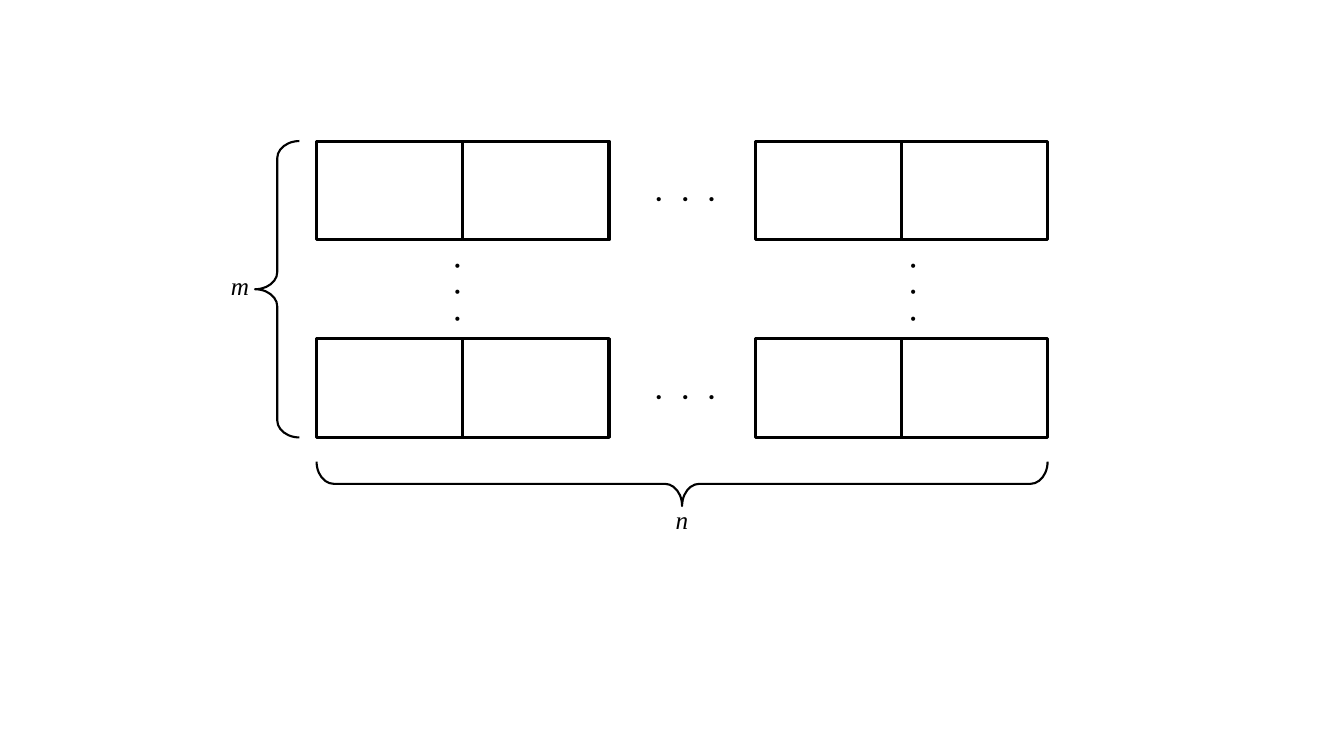
import pptx
import pptx.util
import pptx.dml.color
import pptx.enum.shapes
import pptx.enum.text

Inches, Pt = pptx.util.Inches, pptx.util.Pt
KIND = pptx.enum.shapes.MSO_SHAPE
TEXT = pptx.enum.text

# Content
DOTS = ". . ."
ROWS, COLS = "m", "n"


class Theme:
    ink = pptx.dml.color.RGBColor(0, 0, 0)
    label = dict(name="Times New Roman", size=Pt(18), italic=True)
    dots = dict(name="Calibri", size=Pt(20), bold=True)
    track = 4.5  # points between the dots
    cell = Pt(2.25)
    brace = Pt(1.5)


# Grid: two pairs of cells per row, with a gap one cell wide
LEFT, TOP, WIDE, HIGH = 3.14, 1.4, 1.45, 0.98
SLOTS = (0, 1, 3, 4)
LINES = (0, 2)
FULL, TALL = 5 * WIDE, 3 * HIGH
MIDX, MIDY = LEFT + FULL / 2, TOP + TALL / 2
DEEP = 0.44  # depth of a brace and height of a dot box

deck = pptx.Presentation()
deck.slide_width, deck.slide_height = Inches(13.33), Inches(7.5)
slide = deck.slides.add_slide(deck.slide_layouts[6])
group = slide.shapes.add_group_shape().shapes


def box(x, y, w, h):
    """Lengths of a box centred on x, y."""
    return [Inches(v) for v in (x - w / 2, y - h / 2, w, h)]


def draw(kind, x, y, w, h, line):
    shape = group.add_shape(kind, *box(x, y, w, h))
    shape.shadow.inherit = False
    shape.fill.background()
    shape.line.color.rgb = Theme.ink
    shape.line.width = line
    return shape


def brace(x, y, span, turn=0):
    shape = draw(KIND.LEFT_BRACE, x, y, DEEP, span, Theme.brace)
    shape.adjustments[0] = 0.386
    shape.rotation = turn


def write(text, x, y, w, h, font, wrap=False):
    shape = group.add_textbox(*box(x, y, w, h))
    frame = shape.text_frame
    frame.text = text
    frame.word_wrap = wrap
    frame.auto_size = TEXT.MSO_AUTO_SIZE.SHAPE_TO_FIT_TEXT
    frame.vertical_anchor = TEXT.MSO_ANCHOR.MIDDLE
    para = frame.paragraphs[0]
    para.alignment = TEXT.PP_ALIGN.CENTER
    run = para.runs[0]
    run.font.color.rgb = Theme.ink
    for key, value in font.items():
        setattr(run.font, key, value)
    return shape


def dots(x, y, turn=0):
    shape = write(DOTS, x, y, WIDE, DEEP, Theme.dots, True)
    shape.rotation = turn
    # Tracking also follows the last dot, so the left inset balances it
    run = shape.text_frame.paragraphs[0].runs[0]
    run._r.get_or_add_rPr().set("spc", str(int(Theme.track * 100)))
    shape.text_frame.margin_left = Inches(0.1) + Pt(Theme.track)


# Cells, with dots across the gap of each row
for line in LINES:
    y = TOP + (line + 0.5) * HIGH
    for slot in SLOTS:
        draw(KIND.RECTANGLE, LEFT + (slot + 0.5) * WIDE, y, WIDE, HIGH,
             Theme.cell)
    dots(MIDX, y)

# Dots down between the rows
for x in (4.63, 9.15):
    dots(x, MIDY, 90)

# Braces and their labels
brace(2.75, MIDY, TALL)
brace(MIDX, 4.8, FULL, 270)
write(ROWS, 2.38, 2.83, 0.38, 0.4, Theme.label)
write(COLS, MIDX, 5.15, 0.33, 0.4, Theme.label)

deck.save("out.pptx")
